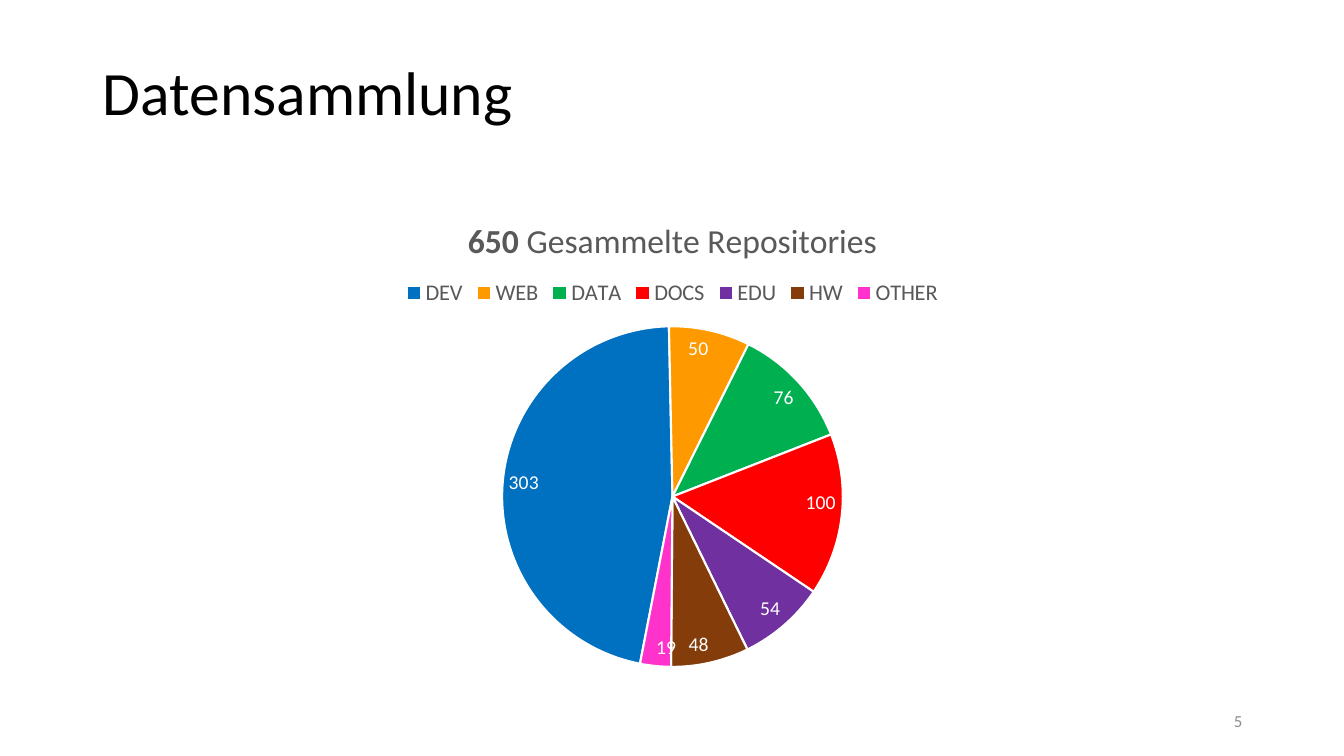
from lxml import etree
from pptx import Presentation
from pptx.chart.data import CategoryChartData
from pptx.dml.color import RGBColor
from pptx.enum.chart import XL_CHART_TYPE, XL_LABEL_POSITION, XL_LEGEND_POSITION
from pptx.enum.text import MSO_ANCHOR, PP_ALIGN
from pptx.oxml.ns import qn
from pptx.util import Inches, Pt

FONT = "Calibri"
GREY = "595959"
REPOSITORIES = [
    ("DEV", 303, "0070C0"),
    ("WEB", 50, "FF9900"),
    ("DATA", 76, "00B050"),
    ("DOCS", 100, "FF0000"),
    ("EDU", 54, "7030A0"),
    ("HW", 48, "843C0B"),
    ("OTHER", 19, "FF33CC"),
]
START_ANGLE = 191
PLOT_AREA = {"x": 0.35, "y": 0.26, "w": 0.3, "h": 0.71}


def rgb(value):
    return RGBColor.from_string(value)


def set_font(font, size, color, bold=False):
    formats = {"name": FONT, "size": Pt(size), "bold": bold}
    for name, value in formats.items():
        setattr(font, name, value)
    font.color.rgb = rgb(color)


def add_text(s, box, text, size, color, **paragraph_format):
    sp = s.shapes.add_textbox(*map(Inches, box))
    tf = sp.text_frame
    tf.word_wrap = True
    tf.vertical_anchor = MSO_ANCHOR.MIDDLE
    p = tf.paragraphs[0]
    for name, value in paragraph_format.items():
        setattr(p, name, value)
    r = p.add_run()
    r.text = text
    set_font(r.font, size, color)


def place_plot(chart):
    plot_area = chart.plots[0]._element.getparent()
    for old in plot_area.findall(qn("c:layout")):
        plot_area.remove(old)
    layout = etree.Element(qn("c:layout"))
    manual = etree.SubElement(layout, qn("c:manualLayout"))
    settings = {"layoutTarget": "inner", "xMode": "edge", "yMode": "edge", **PLOT_AREA}
    for name, value in settings.items():
        etree.SubElement(manual, qn(f"c:{name}")).set("val", str(value))
    plot_area.insert(0, layout)


def add_pie(s, box):
    data = CategoryChartData()
    data.categories = [name for name, _, _ in REPOSITORIES]
    data.add_series("Series 1", [count for _, count, _ in REPOSITORIES])
    chart = s.shapes.add_chart(XL_CHART_TYPE.PIE, *map(Inches, box), data).chart
    set_font(chart.font, 10, "000000")

    # Chart title with a bold total
    chart.has_title = True
    p = chart.chart_title.text_frame.paragraphs[0]
    for text, bold in (("650", True), (" Gesammelte Repositories", False)):
        r = p.add_run()
        r.text = text
        set_font(r.font, 24, GREY, bold)

    # Legend
    chart.has_legend = True
    chart.legend.position = XL_LEGEND_POSITION.TOP
    chart.legend.include_in_layout = False
    set_font(chart.legend.font, 16, GREY)

    # Slices
    plot = chart.plots[0]
    plot.vary_by_categories = True
    for i, (_, _, color) in enumerate(REPOSITORIES):
        point = plot.series[0].points[i].format
        point.fill.solid()
        point.fill.fore_color.rgb = rgb(color)
        point.line.color.rgb = rgb("FFFFFF")
        point.line.width = Pt(1.5)

    # Value labels
    labels = plot.series[0].data_labels
    label_format = {
        "show_value": True,
        "show_percentage": False,
        "position": XL_LABEL_POSITION.INSIDE_END,
    }
    for name, value in label_format.items():
        setattr(labels, name, value)
    set_font(labels.font, 14, "FFFFFF")

    # Rotation and place of the pie
    pie = plot._element
    angle = pie.find(qn("c:firstSliceAng"))
    if angle is None:
        angle = etree.SubElement(pie, qn("c:firstSliceAng"))
    angle.set("val", str(START_ANGLE))
    place_plot(chart)


def main():
    prs = Presentation()
    prs.slide_width, prs.slide_height = Inches(13.33), Inches(7.5)
    s = prs.slides.add_slide(prs.slide_layouts[6])

    # Heading
    add_text(s, (0.92, 0.22, 11.5, 1.45), "Datensammlung", 44, "000000",
             line_spacing=0.9)
    # Repository chart
    add_pie(s, (0.92, 2, 11.5, 4.76))
    # Slide number
    add_text(s, (9.42, 6.95, 3, 0.4), "5", 12, "8C8C8C", alignment=PP_ALIGN.RIGHT)

    prs.save("out.pptx")


if __name__ == "__main__":
    main()
